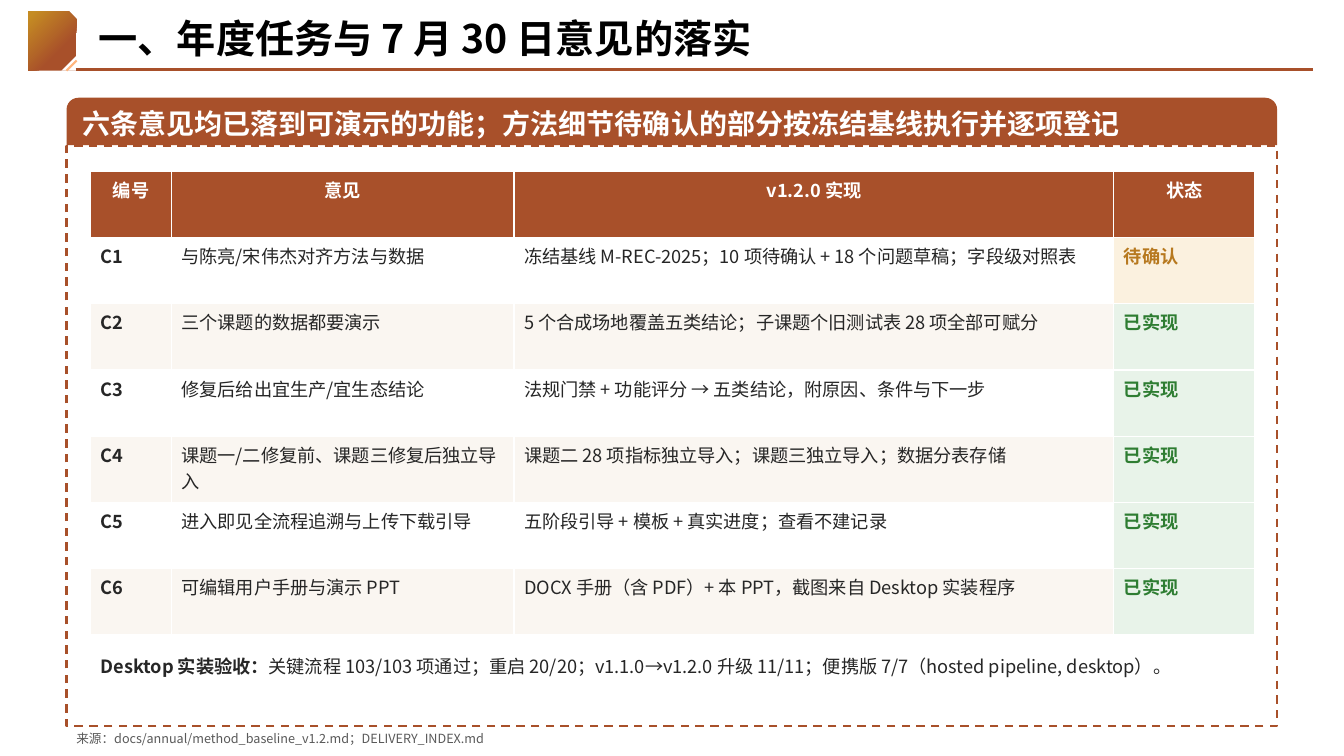
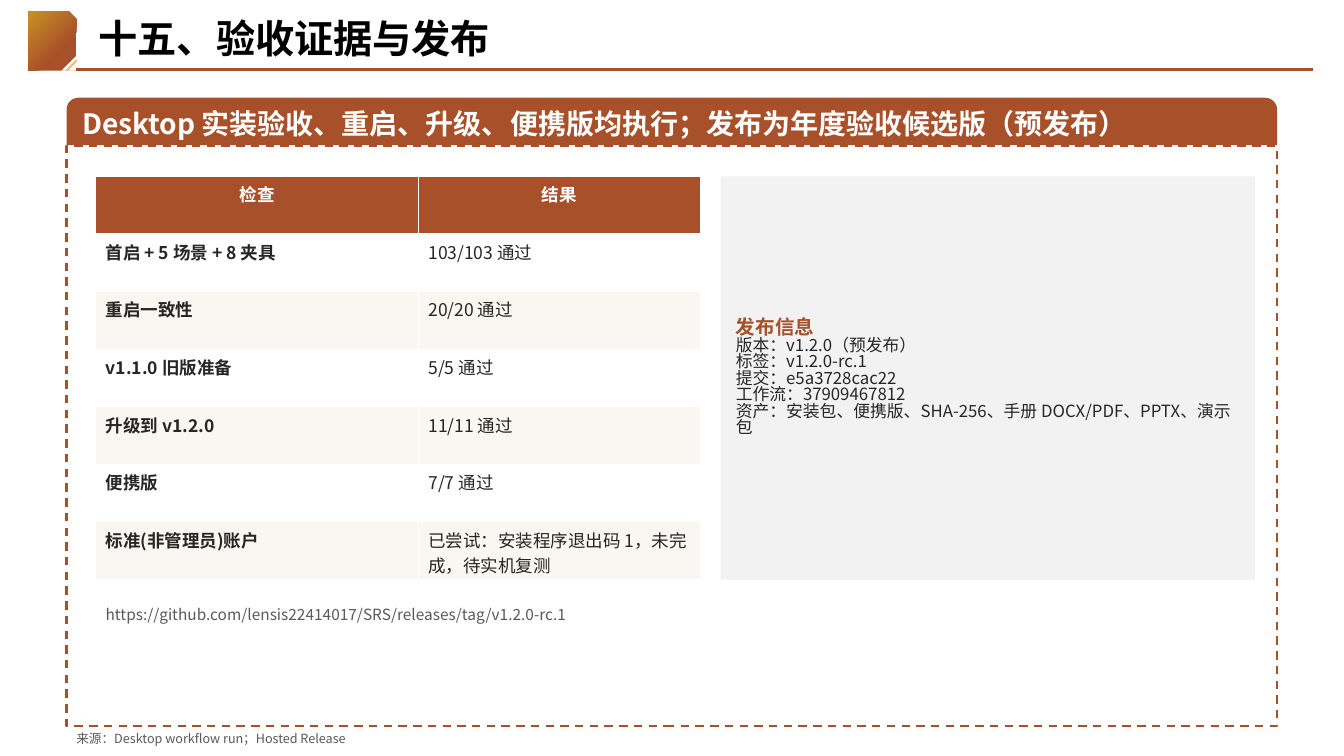
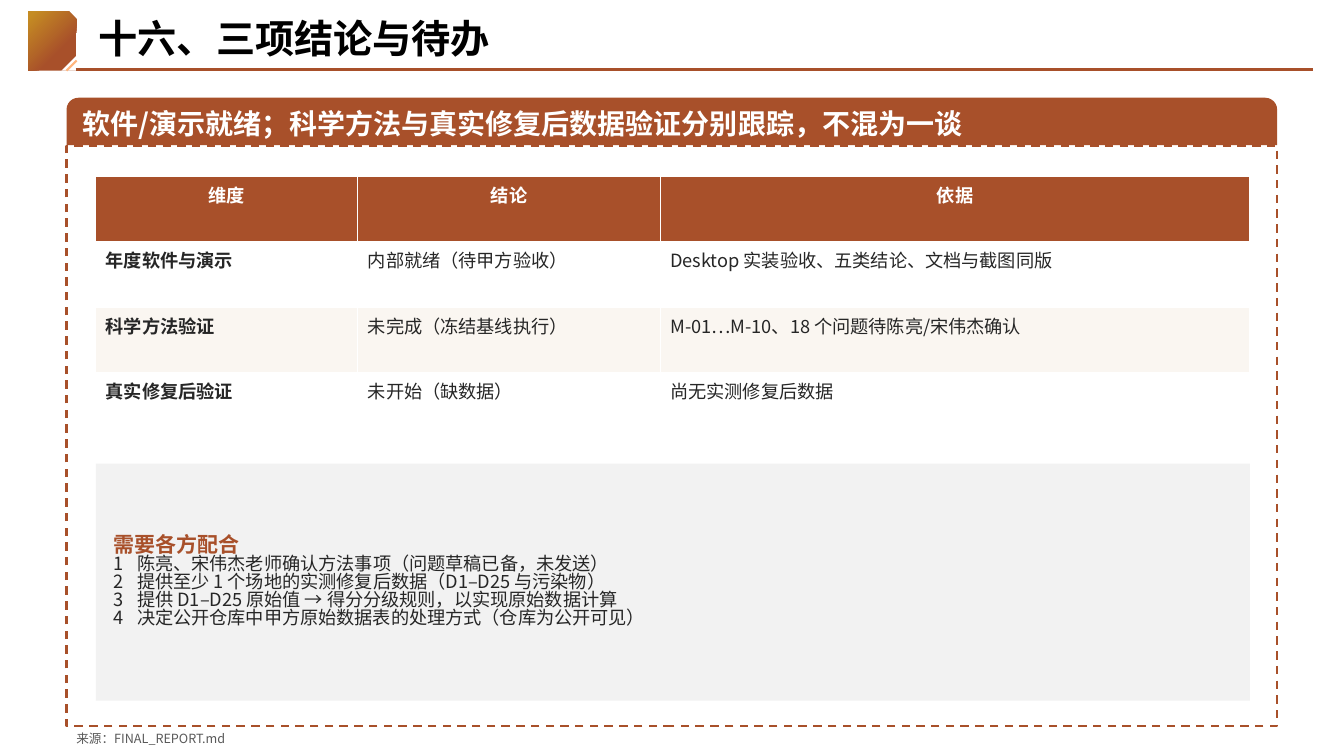
from dataclasses import dataclass
from typing import NamedTuple, Optional

from lxml.etree import SubElement
from pptx import Presentation
from pptx.dml.color import RGBColor as RGB
from pptx.enum.dml import MSO_LINE_DASH_STYLE as Dash
from pptx.enum.shapes import MSO_CONNECTOR as Conn, MSO_SHAPE as Shp
from pptx.enum.text import MSO_ANCHOR as Anchor, MSO_AUTO_SIZE as Auto, PP_ALIGN as Align
from pptx.oxml import parse_xml
from pptx.oxml.ns import nsdecls, qn
from pptx.util import Emu, Inches, Pt


@dataclass(frozen=True)
class Theme:
    font: str = "Noto Sans CJK SC"
    rust: str = "A8502A"
    gold: str = "C58C23"
    peach: str = "FFB57D"
    white: str = "FFFFFF"
    black: str = "000000"
    ink: str = "262626"
    muted: str = "595959"
    stripe: str = "FAF6F1"
    panel: str = "F2F2F2"
    title: float = 28
    band: float = 20
    source: float = 9
    link: float = 11
    body: float = 13
    rule: float = 1.5
    border: float = 1
    leading: float = 0.82


T = Theme()
CELL = Inches(0.1)
COLS, ROWS = 133.33, 75
STATUS = {"待确认": ("B7791F", "FBF1DF"), "已实现": ("2E7D32", "E8F3E9")}


class Box(NamedTuple):
    col: float
    row: float
    cols: float
    rows: float

    def emu(self) -> list[Emu]:
        return [grid(v) for v in self]


class Span(NamedTuple):
    text: str
    size: float
    color: str
    bold: bool = False


class Para(NamedTuple):
    spans: list[Span]
    align: Align = Align.LEFT
    leading: Optional[float] = None
    hang: float = 0


class Grid(NamedTuple):
    box: Box
    widths: list[float]
    size: float
    rows: list[list[str]]


class Panel(NamedTuple):
    box: Box
    inset: float
    heading: Span
    size: float
    lines: list[str]
    hang: float = 0


class Note(NamedTuple):
    box: Box
    spans: list[Span]


class Page(NamedTuple):
    title: str
    band: str
    source: str
    table: Grid
    panel: Optional[Panel]
    note: Optional[Note]


def grid(n: float) -> Emu:
    return Emu(round(n * CELL))


def set_all(obj, values: dict) -> None:
    for name, value in values.items():
        setattr(obj, name, value)


def write(tf, paras: list[Para]) -> None:
    for i, para in enumerate(paras):
        p = tf.paragraphs[0] if i == 0 else tf.add_paragraph()
        p.alignment = para.align
        if para.leading:
            p.line_spacing = para.leading
        if para.hang:
            pPr = p._p.get_or_add_pPr()
            pPr.set("marL", str(grid(para.hang)))
            pPr.set("indent", str(-grid(para.hang)))
        for span in para.spans:
            r = p.add_run()
            r.text = span.text
            set_all(r.font, {"name": T.font, "size": Pt(span.size), "bold": span.bold})
            r.font.color.rgb = RGB.from_string(span.color)
            SubElement(r._r.rPr, qn("a:ea")).set("typeface", T.font)


def add_shape(shapes, kind: Shp, box: Box, fill: Optional[str] = None):
    sp = shapes.add_shape(kind, *box.emu())
    sp.shadow.inherit = False
    sp.line.fill.background()
    if fill:
        sp.fill.solid()
        sp.fill.fore_color.rgb = RGB.from_string(fill)
    else:
        sp.fill.background()
    return sp


def add_line(shapes, start: tuple[float, float], end: tuple[float, float], color: str) -> None:
    c = shapes.add_connector(Conn.STRAIGHT, *[grid(v) for v in start + end])
    c.line.width = Pt(T.rule)
    c.line.color.rgb = RGB.from_string(color)
    SubElement(c._element.spPr, qn("a:effectLst"))


def add_text(s, box: Box, spans: list[Span]) -> None:
    tf = s.shapes.add_textbox(*box.emu()).text_frame
    set_all(tf, {"word_wrap": True, "auto_size": Auto.SHAPE_TO_FIT_TEXT})
    write(tf, [Para(spans)])


def fill_shape(sp, inset: float, paras: list[Para]) -> None:
    tf = sp.text_frame
    sides = ("left", "top", "right", "bottom")
    set_all(tf, {f"margin_{side}": grid(inset) for side in sides})
    set_all(tf, {"word_wrap": True, "vertical_anchor": Anchor.MIDDLE})
    write(tf, paras)


def add_emblem(s) -> None:
    group = s.shapes.add_group_shape().shapes
    badge = add_shape(group, Shp.SNIP_1_RECTANGLE, Box(2.8, 1.1, 4.8, 5.9))
    badge.fill.gradient()
    badge.fill.gradient_angle = 135
    for stop, color, at in zip(badge.fill.gradient_stops, (T.rust, T.gold), (0.33, 0.94)):
        stop.color.rgb = RGB.from_string(color)
        stop.position = at
    add_shape(group, Shp.RIGHT_TRIANGLE, Box(6.1, 5.5, 1.5, 1.5), T.white).rotation = 270
    add_line(group, (6.6, 7), (7.6, 6), T.peach)


def add_frame(s, page: Page) -> None:
    add_emblem(s)
    add_line(s.shapes, (7.5, 6.9), (130.3, 6.9), T.rust)
    frame = add_shape(s.shapes, Shp.RECTANGLE, Box(6.6, 14.5, 120.1, 57.5))
    frame.line.color.rgb = RGB.from_string(T.rust)
    set_all(frame.line, {"width": Pt(T.rule), "dash_style": Dash.DASH})
    add_text(s, Box(8.8, 0.9, 120.5, 6), [Span(page.title, T.title, T.black, True)])
    band = add_shape(s.shapes, Shp.ROUND_2_SAME_RECTANGLE, Box(6.6, 9.7, 120.1, 4.7), T.rust)
    band.adjustments[0] = 0.25
    fill_shape(band, 1.2, [Para([Span(page.band, T.band, T.white, True)])])
    add_text(s, Box(6.6, 72, 120, 2.8), [Span(f"来源：{page.source}", T.source, T.muted)])


def set_borders(cell) -> None:
    tcPr = cell._tc.get_or_add_tcPr()
    for i, side in enumerate(("lnL", "lnR", "lnT", "lnB")):
        tcPr.insert(i, parse_xml(
            f'<a:{side} {nsdecls("a")} w="{Pt(T.border)}"><a:solidFill>'
            f'<a:srgbClr val="{T.white}"/></a:solidFill></a:{side}>'))


def cell_style(row: int, col: int, text: str) -> tuple[str, str, bool]:
    if row == 0:
        return T.white, T.rust, True
    if text in STATUS:
        return *STATUS[text], True
    return T.ink, T.white if row % 2 else T.stripe, col == 0


def add_grid(s, g: Grid) -> None:
    tbl = s.shapes.add_table(len(g.rows), len(g.widths), *g.box.emu()).table
    for column, width in zip(tbl.columns, g.widths):
        column.width = grid(width)
    for i, row in enumerate(g.rows):
        tbl.rows[i].height = grid(g.box.rows / len(g.rows))
        for j, text in enumerate(row):
            color, fill, bold = cell_style(i, j, text)
            cell = tbl.cell(i, j)
            cell.fill.solid()
            cell.fill.fore_color.rgb = RGB.from_string(fill)
            set_borders(cell)
            align = Align.LEFT if i else Align.CENTER
            write(cell.text_frame, [Para([Span(text, g.size, color, bold)], align)])


def add_panel(s, panel: Panel) -> None:
    sp = add_shape(s.shapes, Shp.RECTANGLE, panel.box, T.panel)
    lines = [Para([Span(text, panel.size, T.ink)], leading=T.leading, hang=panel.hang)
             for text in panel.lines]
    fill_shape(sp, panel.inset, [Para([panel.heading], leading=T.leading)] + lines)


PAGES = [
    Page(
        "一、年度任务与 7 月 30 日意见的落实",
        "六条意见均已落到可演示的功能；方法细节待确认的部分按冻结基线执行并逐项登记",
        "docs/annual/method_baseline_v1.2.md；DELIVERY_INDEX.md",
        Grid(Box(9, 17, 115.5, 46), [8, 34, 59.5, 14], T.body, [
            ["编号", "意见", "v1.2.0 实现", "状态"],
            ["C1", "与陈亮/宋伟杰对齐方法与数据",
             "冻结基线 M-REC-2025；10 项待确认 + 18 个问题草稿；字段级对照表", "待确认"],
            ["C2", "三个课题的数据都要演示",
             "5 个合成场地覆盖五类结论；子课题个旧测试表 28 项全部可赋分", "已实现"],
            ["C3", "修复后给出宜生产/宜生态结论",
             "法规门禁 + 功能评分 → 五类结论，附原因、条件与下一步", "已实现"],
            ["C4", "课题一/二修复前、课题三修复后独立导入",
             "课题二 28 项指标独立导入；课题三独立导入；数据分表存储", "已实现"],
            ["C5", "进入即见全流程追溯与上传下载引导",
             "五阶段引导 + 模板 + 真实进度；查看不建记录", "已实现"],
            ["C6", "可编辑用户手册与演示 PPT",
             "DOCX 手册（含 PDF）+ 本 PPT，截图来自 Desktop 实装程序", "已实现"],
        ]),
        None,
        Note(Box(9, 64.5, 115, 6), [
            Span("Desktop 实装验收：", T.body, T.ink, True),
            Span("关键流程 103/103 项通过；重启 20/20；v1.1.0→v1.2.0 升级 11/11；"
                 "便携版 7/7（hosted pipeline, desktop）。", T.body, T.ink),
        ]),
    ),
    Page(
        "十五、验收证据与发布",
        "Desktop 实装验收、重启、升级、便携版均执行；发布为年度验收候选版（预发布）",
        "Desktop workflow run；Hosted Release",
        Grid(Box(9.5, 17.5, 60, 40), [32, 28], 12.5, [
            ["检查", "结果"],
            ["首启 + 5 场景 + 8 夹具", "103/103 通过"],
            ["重启一致性", "20/20 通过"],
            ["v1.1.0 旧版准备", "5/5 通过"],
            ["升级到 v1.2.0", "11/11 通过"],
            ["便携版", "7/7 通过"],
            ["标准(非管理员)账户", "已尝试：安装程序退出码 1，未完成，待实机复测"],
        ]),
        Panel(Box(71.5, 17.5, 53, 40), 1.5, Span("发布信息", 14, T.rust, True), 12, [
            "版本：v1.2.0（预发布）",
            "标签：v1.2.0-rc.1",
            "提交：e5a3728cac22",
            "工作流：37909467812",
            "资产：安装包、便携版、SHA-256、手册 DOCX/PDF、PPTX、演示包",
        ]),
        Note(Box(9.5, 59.5, 115, 9), [
            Span("https://github.com/lensis22414017/SRS/releases/tag/v1.2.0-rc.1", T.link, T.muted),
        ]),
    ),
    Page(
        "十六、三项结论与待办",
        "软件/演示就绪；科学方法与真实修复后数据验证分别跟踪，不混为一谈",
        "FINAL_REPORT.md",
        Grid(Box(9.5, 17.5, 114.5, 26), [26, 30, 58.5], T.body, [
            ["维度", "结论", "依据"],
            ["年度软件与演示", "内部就绪（待甲方验收）", "Desktop 实装验收、五类结论、文档与截图同版"],
            ["科学方法验证", "未完成（冻结基线执行）", "M-01…M-10、18 个问题待陈亮/宋伟杰确认"],
            ["真实修复后验证", "未开始（缺数据）", "尚无实测修复后数据"],
        ]),
        Panel(Box(9.5, 46, 114.5, 23.5), 1.8, Span("需要各方配合", 15, T.rust, True), T.body, [
            "1\t陈亮、宋伟杰老师确认方法事项（问题草稿已备，未发送）",
            "2\t提供至少 1 个场地的实测修复后数据（D1–D25 与污染物）",
            "3\t提供 D1–D25 原始值 → 得分分级规则，以实现原始数据计算",
            "4\t决定公开仓库中甲方原始数据表的处理方式（仓库为公开可见）",
        ], 2.3),
        None,
    ),
]


def main() -> None:
    prs = Presentation()
    set_all(prs, {"slide_width": grid(COLS), "slide_height": grid(ROWS)})
    for page in PAGES:
        s = prs.slides.add_slide(prs.slide_layouts[6])
        add_frame(s, page)
        add_grid(s, page.table)
        if page.panel:
            add_panel(s, page.panel)
        if page.note:
            add_text(s, *page.note)
    prs.save("out.pptx")


if __name__ == "__main__":
    main()
